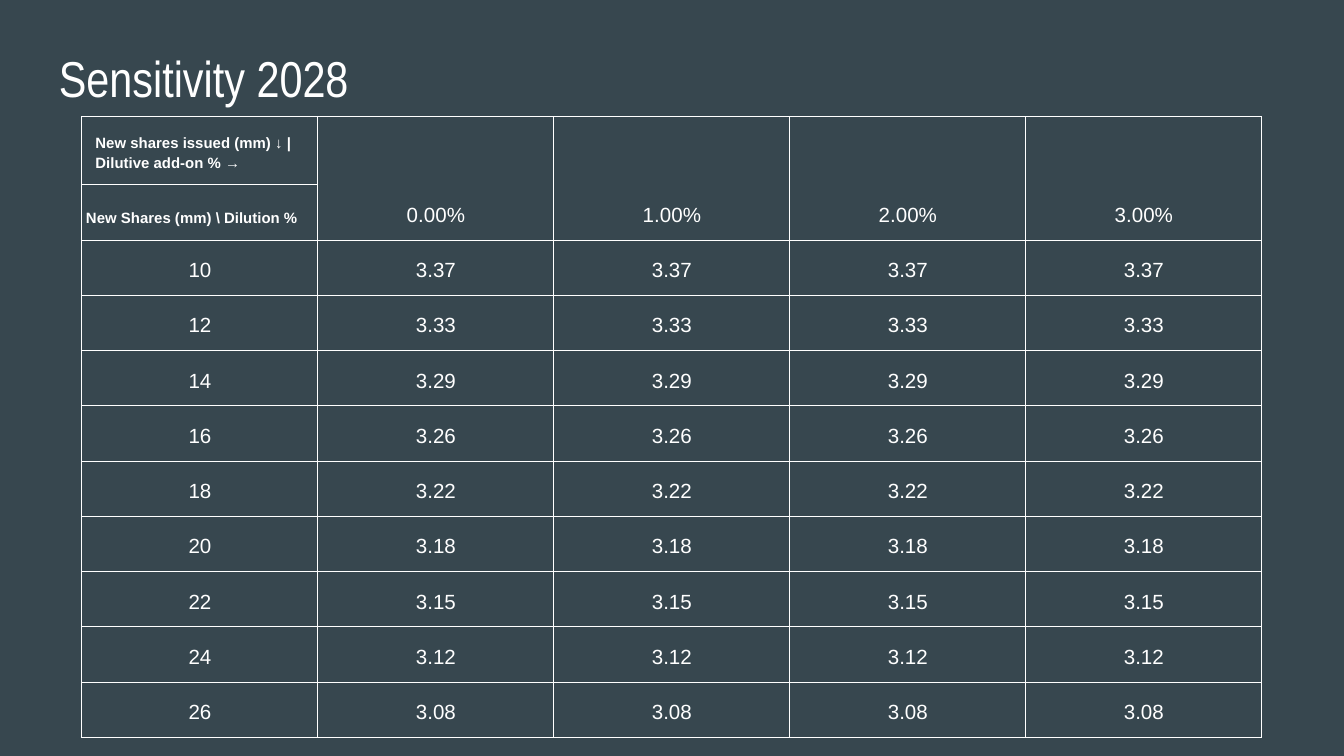
from dataclasses import dataclass

from lxml import etree
from pptx import Presentation
from pptx.dml.color import RGBColor
from pptx.enum.text import MSO_ANCHOR, PP_ALIGN
from pptx.oxml.ns import qn
from pptx.util import Inches, Pt

LEFT, CENTER = PP_ALIGN.LEFT, PP_ALIGN.CENTER
TOP, BOTTOM = MSO_ANCHOR.TOP, MSO_ANCHOR.BOTTOM
WHITE, SLATE = "FFFFFF", "37474F"
TABLE_WIDTH = 8.78
FRAME_SIZE = 3.28
CORNER_HEIGHT, HEADER_HEIGHT, ROW_HEIGHT = 0.47, 0.35, 0.38
BORDER_WIDTH = 0.6


@dataclass
class SensitivityRow:
    shares: int
    value: float


DILUTIONS = ["0.00%", "1.00%", "2.00%", "3.00%"]
ROWS = [
    SensitivityRow(10, 3.37),
    SensitivityRow(12, 3.33),
    SensitivityRow(14, 3.29),
    SensitivityRow(16, 3.26),
    SensitivityRow(18, 3.22),
    SensitivityRow(20, 3.18),
    SensitivityRow(22, 3.15),
    SensitivityRow(24, 3.12),
    SensitivityRow(26, 3.08),
]


def color(value: str) -> RGBColor:
    return RGBColor.from_string(value)


def write(tf, text: str, *, size: float = 11, font: str = "Arial", bold: bool = False,
          align=CENTER, spacing: float = 1.15) -> None:
    p = tf.paragraphs[0]
    p.alignment = align
    p.line_spacing = spacing
    r = p.add_run()
    r.text = text
    r.font.size = Pt(size)
    r.font.name = font
    r.font.bold = bold
    r.font.color.rgb = color(WHITE)


def style_cell(cell, side_margin: float = 0.03) -> None:
    cell.vertical_anchor = BOTTOM
    cell.margin_left = cell.margin_right = Inches(side_margin)
    cell.margin_top = cell.margin_bottom = Inches(0.1)
    tc_pr = cell._tc.get_or_add_tcPr()
    for side in ("a:lnL", "a:lnR", "a:lnT", "a:lnB"):
        ln = etree.SubElement(tc_pr, qn(side), w=str(Pt(BORDER_WIDTH)))
        fill = etree.SubElement(ln, qn("a:solidFill"))
        etree.SubElement(fill, qn("a:srgbClr"), val=WHITE)
    cell.fill.background()


def add_title(s, text: str) -> None:
    sp = s.shapes.add_textbox(Inches(0.34), Inches(0.25), Inches(9.32), Inches(0.63))
    tf = sp.text_frame
    tf.word_wrap = True
    tf.vertical_anchor = TOP
    tf.margin_left = tf.margin_right = tf.margin_top = tf.margin_bottom = Inches(0.1)
    write(tf, text, size=27, font="Arial Narrow", align=LEFT, spacing=1.0)


def add_sensitivity_table(s, dilutions: list[str], rows: list[SensitivityRow]) -> None:
    heights = [CORNER_HEIGHT, HEADER_HEIGHT] + [ROW_HEIGHT] * len(rows)
    columns = len(dilutions) + 1
    frame = s.shapes.add_table(len(heights), columns, Inches(0.61), Inches(0.87),
                               Inches(FRAME_SIZE), Inches(FRAME_SIZE))
    table = frame.table
    table.first_row = table.horz_banding = False
    for column in table.columns:
        column.width = Inches(TABLE_WIDTH / columns)
    for row, height in zip(table.rows, heights):
        row.height = Inches(height)
    frame.width = frame.height = Inches(FRAME_SIZE)

    corner = table.cell(0, 0)
    for cell in table.iter_cells():
        style_cell(cell)
    corner.margin_left = corner.margin_right = Inches(0.1)

    write(corner.text_frame, "New shares issued (mm) ↓ | Dilutive add-on % →",
          size=8, bold=True, align=LEFT)
    write(table.cell(1, 0).text_frame, "New Shares (mm) \\ Dilution %",
          size=8, bold=True, align=LEFT)
    for c, dilution in enumerate(dilutions, 1):
        table.cell(0, c).merge(table.cell(1, c))
        write(table.cell(0, c).text_frame, dilution)
    for i, row in enumerate(rows, 2):
        write(table.cell(i, 0).text_frame, str(row.shares))
        for c in range(1, columns):
            write(table.cell(i, c).text_frame, f"{row.value:.2f}")


def main() -> None:
    prs = Presentation()
    prs.slide_width = Inches(10)
    prs.slide_height = Inches(10 * 9 / 16)
    s = prs.slides.add_slide(prs.slide_layouts[6])
    s.background.fill.solid()
    s.background.fill.fore_color.rgb = color(SLATE)
    add_title(s, "Sensitivity 2028")
    add_sensitivity_table(s, DILUTIONS, ROWS)
    prs.save("out.pptx")


if __name__ == "__main__":
    main()
